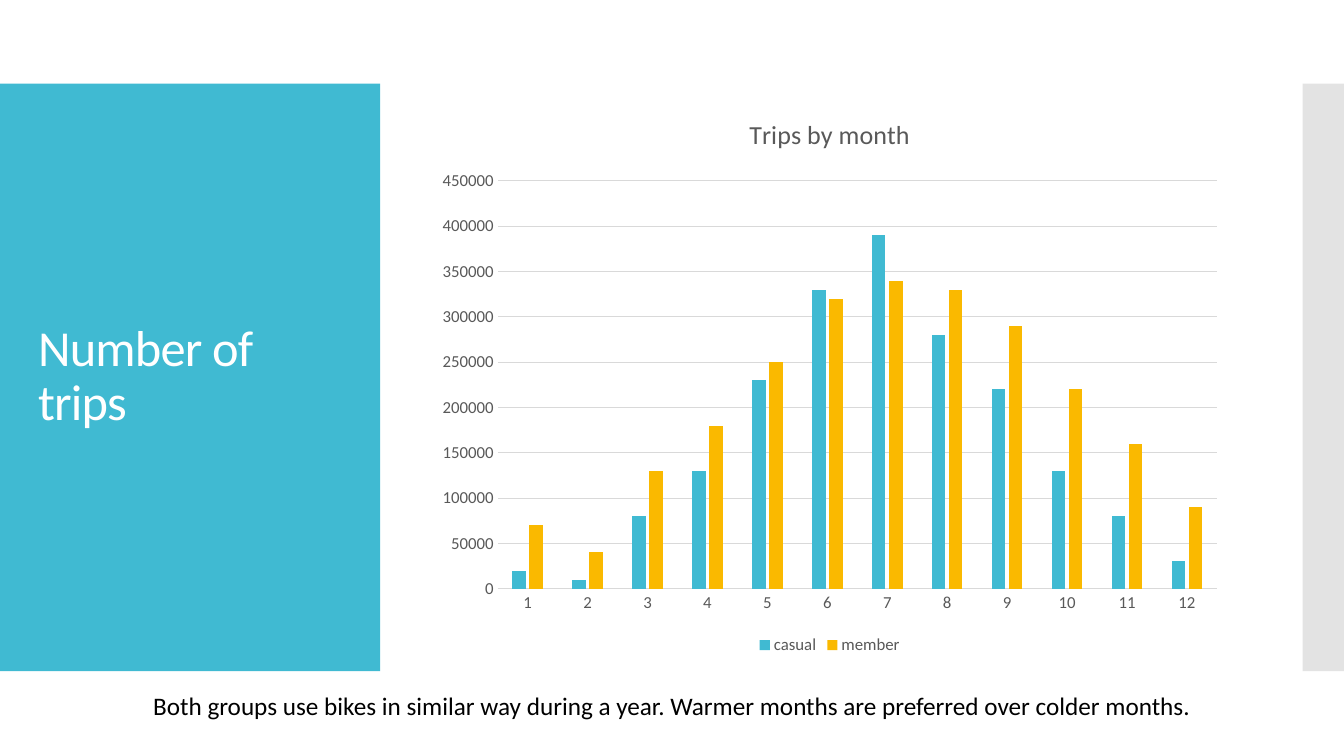
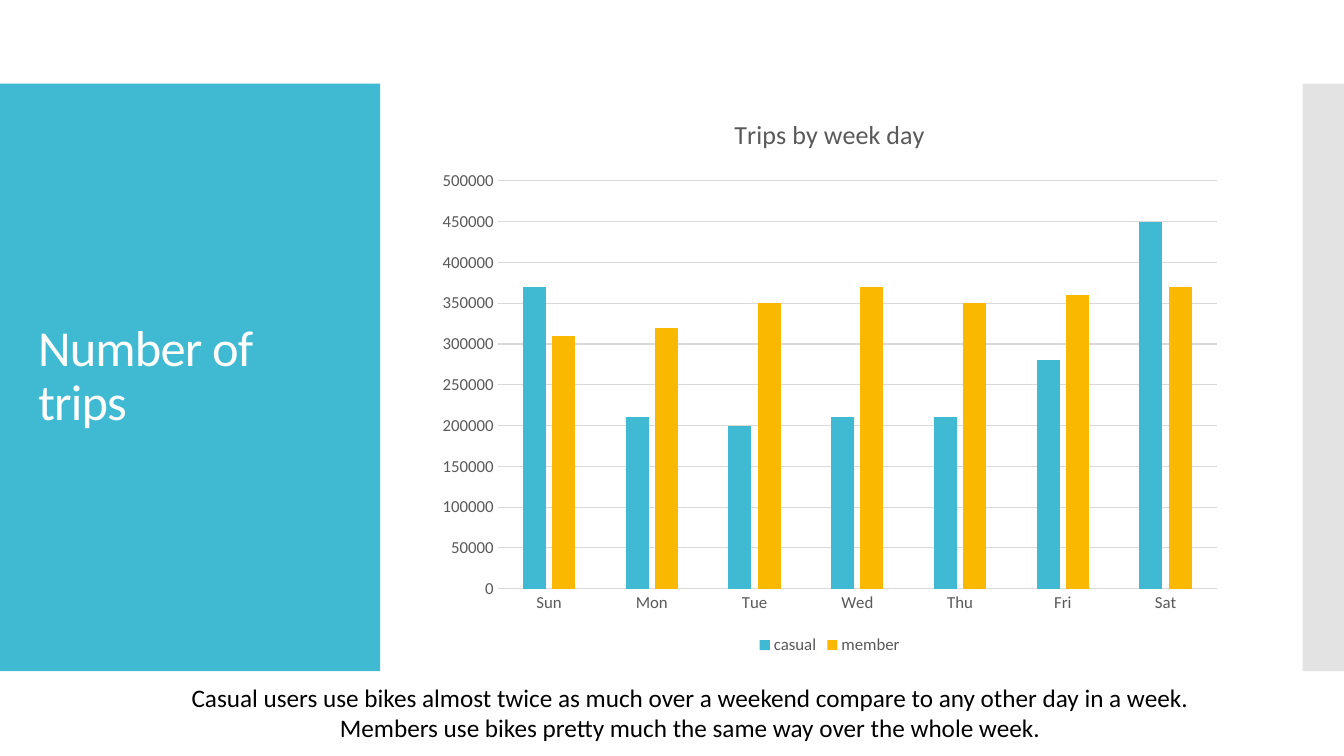
"""Build two slides that compare casual and member bike trips by month and by week day."""
from dataclasses import dataclass

from lxml import etree
from pptx import Presentation
from pptx.chart.data import CategoryChartData
from pptx.dml.color import RGBColor
from pptx.enum import chart as ch, shapes, text
from pptx.oxml import ns
from pptx.util import Inches, Pt


@dataclass(frozen=True)
class Theme:
    font: str = "Calibri"
    teal: RGBColor = RGBColor(0x40, 0xBA, 0xD2)
    amber: RGBColor = RGBColor(0xFA, 0xB9, 0x00)
    band: RGBColor = RGBColor(0xC8, 0xC8, 0xC8)
    grid: RGBColor = RGBColor(0xD9, 0xD9, 0xD9)
    label: RGBColor = RGBColor(0x59, 0x59, 0x59)
    white: RGBColor = RGBColor(0xFF, 0xFF, 0xFF)
    black: RGBColor = RGBColor(0, 0, 0)
    title: float = 36
    chart_title: float = 18.6
    caption: float = 18
    axis: float = 12


T = Theme()
SLIDES = [
    dict(
        chart_title="Trips by month",
        cats=[str(month) for month in range(1, 13)],
        casual=[20, 10, 80, 130, 230, 330, 390, 280, 220, 130, 80, 30],
        member=[70, 40, 130, 180, 250, 320, 340, 330, 290, 220, 160, 90],
        top=450000,
        caption=["Both groups use bikes in similar way during a year. "
                 "Warmer months are preferred over colder months."],
        box=(0, 6.8, 13.33, 0.4),
    ),
    dict(
        chart_title="Trips by week day",
        cats=["Sun", "Mon", "Tue", "Wed", "Thu", "Fri", "Sat"],
        casual=[370, 210, 200, 210, 210, 280, 450],
        member=[310, 320, 350, 370, 350, 360, 370],
        top=500000,
        caption=["Casual users use bikes almost twice as much over a weekend "
                 "compare to any other day in a week.",
                 "Members use bikes pretty much the same way over the whole week."],
        box=(0.28, 6.72, 13.13, 0.71),
    ),
]


def style(font, size, color):
    """Set the shared typeface with a size and a colour."""
    font.name, font.size, font.bold = T.font, Pt(size), False
    font.color.rgb = color


def add_text(s, lines, box, size, color, align=text.PP_ALIGN.LEFT,
             anchor=text.MSO_ANCHOR.TOP, line_spacing=None, tracking=None):
    """Add a wrapped text box with one paragraph per line."""
    tf = s.shapes.add_textbox(*map(Inches, box)).text_frame
    tf.word_wrap, tf.vertical_anchor = True, anchor
    for i, line in enumerate(lines):
        p = tf.add_paragraph() if i else tf.paragraphs[0]
        p.alignment, p.line_spacing = align, line_spacing
        r = p.add_run()
        r.text = line
        style(r.font, size, color)
        if tracking:
            r.font._element.set("spc", str(tracking))


prs = Presentation()
prs.slide_width, prs.slide_height = Inches(13.33), Inches(7.5)

for page in SLIDES:
    s = prs.slides.add_slide(prs.slide_layouts[6])

    for left, width, color, alpha in [(0, 3.77, T.teal, 100), (12.92, 0.41, T.band, 50)]:
        sp = s.shapes.add_shape(shapes.MSO_SHAPE.RECTANGLE, Inches(left), Inches(0.83),
                                Inches(width), Inches(5.83))
        sp.shadow.inherit = False
        sp.line.fill.background()
        sp.fill.solid()
        sp.fill.fore_color.rgb = color
        if alpha < 100:
            srgb = sp._element.spPr.find(".//" + ns.qn("a:srgbClr"))
            etree.SubElement(srgb, ns.qn("a:alpha"), val=str(alpha * 1000))

    add_text(s, ["Number of trips"], (0.28, 1.23, 3.22, 5.03), T.title, T.white,
             anchor=text.MSO_ANCHOR.MIDDLE, line_spacing=0.9, tracking=-60)

    data = CategoryChartData()
    data.categories = page["cats"]
    for name in ("casual", "member"):
        data.add_series(name, [thousands * 1000 for thousands in page[name]])
    chart = s.shapes.add_chart(ch.XL_CHART_TYPE.COLUMN_CLUSTERED, Inches(4.23), Inches(0.94),
                               Inches(8), Inches(5.6), data).chart
    style(chart.font, T.axis, T.label)

    chart.has_title = True
    p = chart.chart_title.text_frame.paragraphs[0]
    r = p.add_run()
    r.text = page["chart_title"]
    style(r.font, T.chart_title, T.label)
    chart.chart_title.include_in_layout = False

    chart.has_legend = True
    chart.legend.position = ch.XL_LEGEND_POSITION.BOTTOM
    chart.legend.include_in_layout = False
    style(chart.legend.font, T.axis, T.label)

    plot = chart.plots[0]
    plot.gap_width, plot.overlap, plot.vary_by_categories = 219, -27, False
    for series, color in zip(plot.series, (T.teal, T.amber)):
        series.format.fill.solid()
        series.format.fill.fore_color.rgb = color

    cat_axis, val_axis = chart.category_axis, chart.value_axis
    for axis in (cat_axis, val_axis):
        axis.major_tick_mark = axis.minor_tick_mark = ch.XL_TICK_MARK.NONE
        style(axis.tick_labels.font, T.axis, T.label)
    val_axis.minimum_scale, val_axis.maximum_scale = 0, page["top"]
    val_axis.major_unit = 50000
    val_axis.format.line.fill.background()
    for line in (cat_axis.format.line, val_axis.major_gridlines.format.line):
        line.color.rgb, line.width = T.grid, Pt(0.75)

    add_text(s, page["caption"], page["box"], T.caption, T.black,
             align=text.PP_ALIGN.CENTER)

prs.save("out.pptx")
